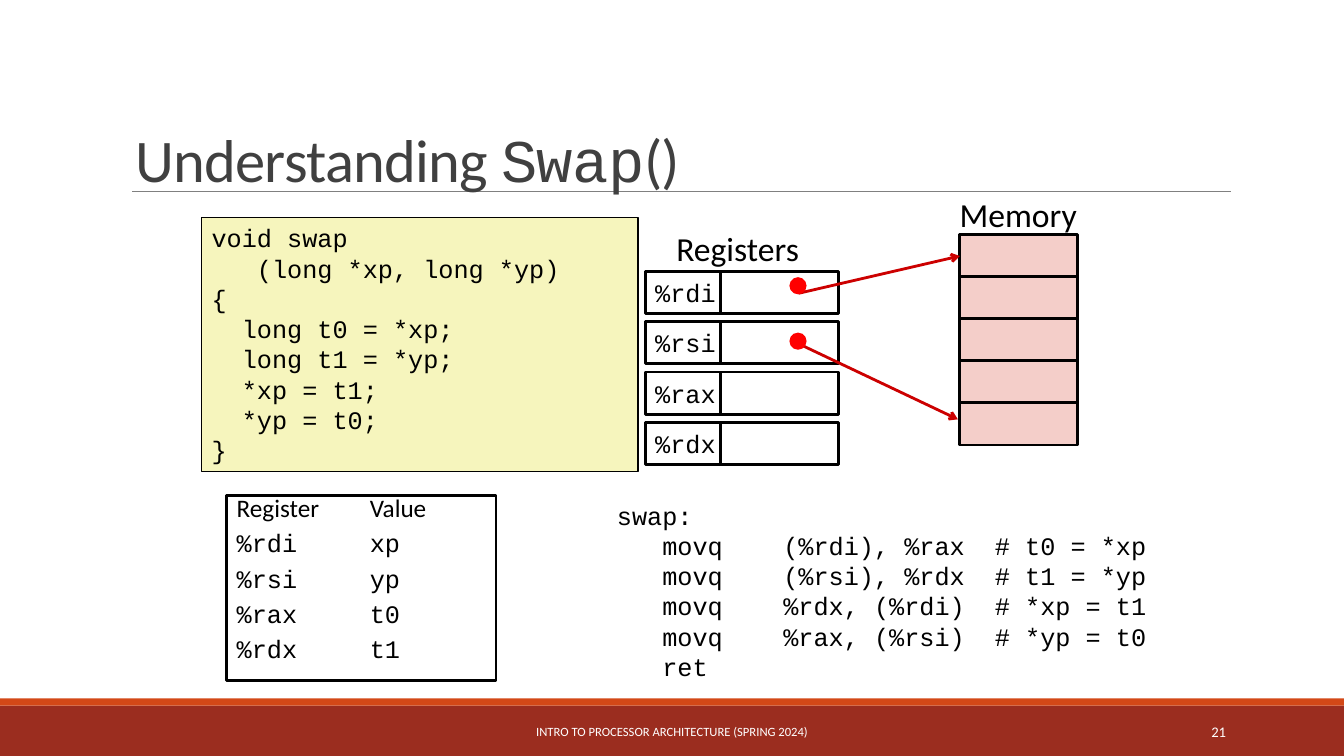
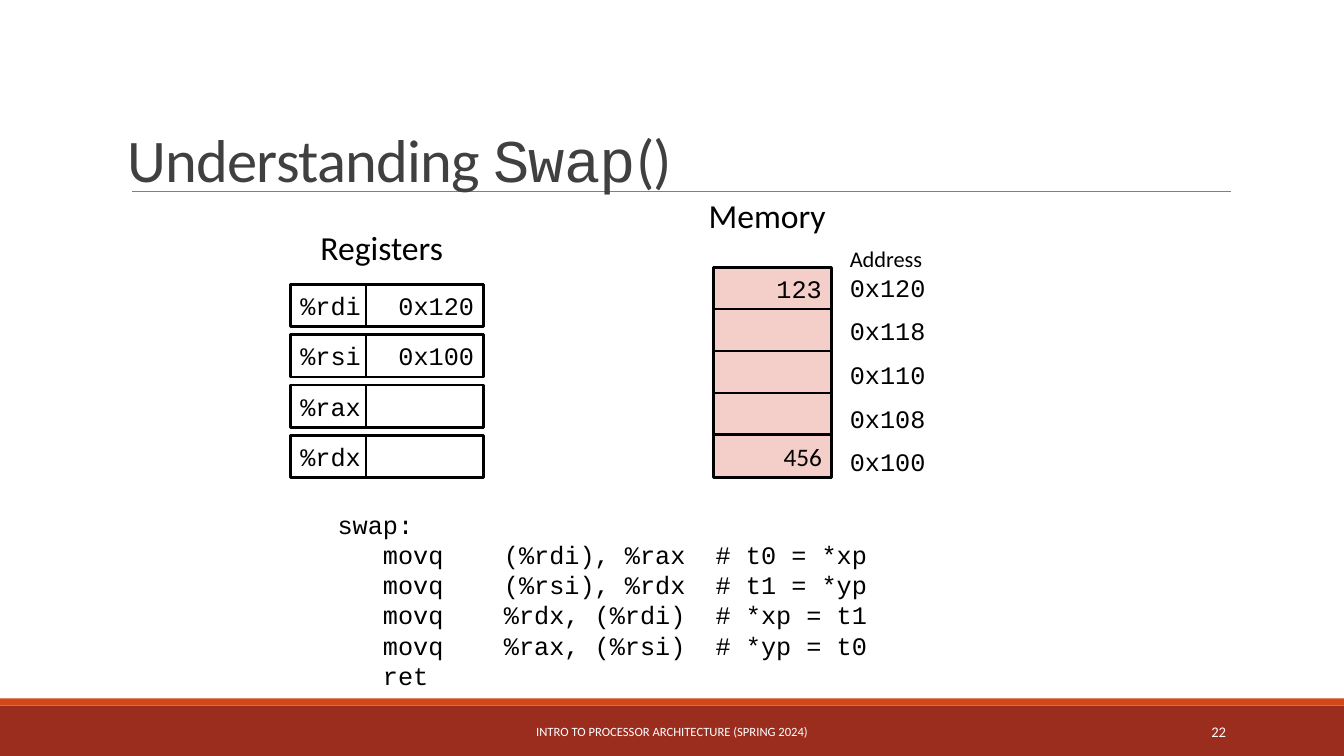
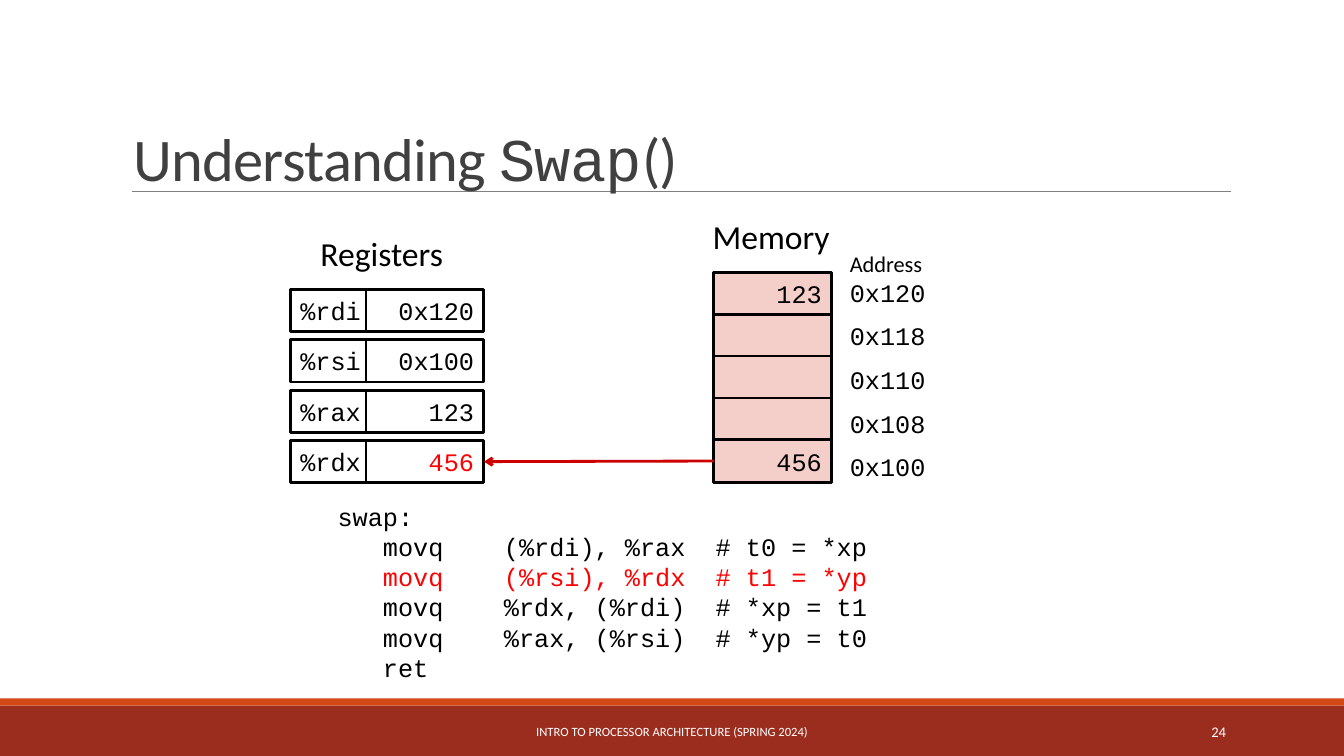
from dataclasses import dataclass

from lxml.etree import SubElement
from pptx import Presentation
from pptx.dml.color import RGBColor
from pptx.enum.shapes import MSO_CONNECTOR as Connector, MSO_SHAPE as Preset
from pptx.enum.text import MSO_ANCHOR as Anchor, MSO_AUTO_SIZE as AutoSize, PP_ALIGN as Align
from pptx.oxml.ns import qn
from pptx.util import Inches, Pt


@dataclass(frozen=True)
class Theme:
    sans: str = "Calibri"
    mono: str = "Courier New"
    black: str = "000000"
    white: str = "FFFFFF"
    title: str = "404040"
    rule: str = "808080"
    band: str = "9B2D1F"
    stripe: str = "D34817"
    code_fill: str = "F6F5BD"
    memory_fill: str = "F4CEC9"
    arrow: str = "CC0000"
    highlight: str = "FF0000"
    title_size: float = 43.2
    heading_size: float = 24
    body_size: float = 18
    address_size: float = 16
    number_size: float = 10.5
    footer_size: float = 9


THEME = Theme()
WIDTH, HEIGHT = 13.33, 7.5
FOOTER = "INTRO TO PROCESSOR ARCHITECTURE (SPRING 2024)"

REGISTERS = ("%rdi", "%rsi", "%rax", "%rdx")
ADDRESSES = ("0x120", "0x118", "0x110", "0x108", "0x100")
NAME_WIDTH, VALUE_WIDTH, CELL_HEIGHT = 0.75, 1.17, 0.42
REGISTER_PITCH = 0.5
MEMORY_PITCH = 2.08 / len(ADDRESSES)
ADDRESS_PITCH = 1.73 / (len(ADDRESSES) - 1)

C_TABS = (0.3, 0.45)
C_CODE = (
    "void swap",
    "\t\t(long *xp, long *yp)",
    "{",
    "\tlong t0 = *xp;",
    "\tlong t1 = *yp;",
    "\t*xp = t1;",
    "\t*yp = t0;",
    "}",
)
ASSEMBLY_TABS = (0.45, 1.65, 3.75)
ASSEMBLY = (
    "swap:",
    "\tmovq\t(%rdi), %rax\t# t0 = *xp",
    "\tmovq\t(%rsi), %rdx\t# t1 = *yp",
    "\tmovq\t%rdx, (%rdi)\t# *xp = t1",
    "\tmovq\t%rax, (%rsi)\t# *yp = t0",
    "\tret",
)


def rgb(color):
    return RGBColor.from_string(color)


def write_text(shape, lines, *, size=THEME.body_size, font=THEME.mono, color=THEME.black,
               align=Align.LEFT, anchor=Anchor.TOP, wrap=True, grow=False,
               line_spacing=None, space_between=None, tabs=(), tracking=None):
    """Fill a shape; a line is a string or a list of (text, {font, color}) runs."""
    frame = shape.text_frame
    frame.word_wrap = wrap
    frame.auto_size = AutoSize.SHAPE_TO_FIT_TEXT if grow else AutoSize.NONE
    frame.vertical_anchor = anchor
    for index, line in enumerate(lines):
        paragraph = frame.add_paragraph() if index else frame.paragraphs[0]
        paragraph.alignment = align
        paragraph.line_spacing = line_spacing
        if index and space_between:
            paragraph.space_before = Pt(space_between)
        for text, changes in [(line, {})] if isinstance(line, str) else line:
            run = paragraph.add_run()
            run.text = text
            run.font.size = Pt(size)
            run.font.name = changes.get("font", font)
            run.font.color.rgb = rgb(changes.get("color", color))
    if tabs:
        for element in shape.element.iter(qn("a:p")):
            stops = SubElement(element.get_or_add_pPr(), qn("a:tabLst"))
            for position in tabs:
                SubElement(stops, qn("a:tab"), pos=str(Inches(position)), algn="l")
    if tracking is not None:
        for element in shape.element.iter(qn("a:rPr")):
            element.set("spc", str(round(tracking * 100)))


def add_text(slide, at, lines, **text_format):
    box = slide.shapes.add_textbox(*map(Inches, at))
    write_text(box, lines, **text_format)
    return box


def add_box(slide, at, *, fill=None, line=None, line_width=2, preset=Preset.RECTANGLE):
    box = slide.shapes.add_shape(preset, *map(Inches, at))
    box.shadow.inherit = False
    if fill:
        box.fill.solid()
        box.fill.fore_color.rgb = rgb(fill)
    else:
        box.fill.background()
    if line:
        box.line.color.rgb = rgb(line)
        box.line.width = Pt(line_width)
    else:
        box.line.fill.background()
    return box


def add_line(slide, start, end, *, color=THEME.arrow, width=2, arrow=True):
    connector = slide.shapes.add_connector(Connector.STRAIGHT, *map(Inches, (*start, *end)))
    connector.line.color.rgb = rgb(color)
    connector.line.width = Pt(width)
    properties = connector.element.spPr
    if arrow:
        SubElement(properties.find(qn("a:ln")), qn("a:tailEnd"), type="arrow")
    SubElement(properties, qn("a:effectLst"))
    return connector


def add_cell(slide, at, text="", *, fill=THEME.white, **text_format):
    cell = add_box(slide, at, fill=fill, line=THEME.black)
    if text:
        write_text(cell, [text], anchor=Anchor.MIDDLE, wrap=False, **text_format)
    return cell


def add_heading(slide, left, top, width, text):
    add_text(slide, (left, top, width, 0.5), [text], size=THEME.heading_size,
             font=THEME.sans, wrap=False, grow=True)


def add_registers(slide, left, top, values=("",) * 4, colors=(THEME.black,) * 4):
    """Draw name and value cells; return the value cells."""
    tops = [top + row * REGISTER_PITCH for row in range(len(REGISTERS))]
    for name, y in zip(REGISTERS, tops):
        add_cell(slide, (left, y, NAME_WIDTH, CELL_HEIGHT), name)
    return [
        add_cell(slide, (left + NAME_WIDTH, y, VALUE_WIDTH, CELL_HEIGHT), value,
                 align=Align.RIGHT, color=color)
        for value, color, y in zip(values, colors, tops)
    ]


def add_memory(slide, left, top, values=("",) * 5, fonts=(THEME.mono,) * 5):
    return [
        add_cell(slide, (left, top + row * MEMORY_PITCH, VALUE_WIDTH, CELL_HEIGHT), value,
                 fill=THEME.memory_fill, align=Align.RIGHT, font=font)
        for row, (value, font) in enumerate(zip(values, fonts))
    ]


def add_addresses(slide, left, top):
    for row, address in enumerate(ADDRESSES):
        add_text(slide, (left, top + row * ADDRESS_PITCH, 1.33, 0.4), [address], grow=True)
    add_text(slide, (left, top - 0.27, 1.33, 0.37), ["Address"],
             size=THEME.address_size, font=THEME.sans, grow=True)


def add_assembly(slide, left, top, highlighted=None):
    lines = [
        [(text, {"color": THEME.highlight if row == highlighted else THEME.black})]
        for row, text in enumerate(ASSEMBLY)
    ]
    add_text(slide, (left, top, 6.42, 1.92), lines, tabs=ASSEMBLY_TABS, grow=True)


def decorate_layout(layout, slide):
    """Draw the bands and title rule on a slide, then move them to its layout."""
    for placeholder in list(layout.placeholders)[1:]:
        layout.shapes.element.remove(placeholder.element)
    parts = (
        add_box(slide, (0, 7, WIDTH, 0.5), fill=THEME.band),
        add_box(slide, (0, 6.93, WIDTH, 0.07), fill=THEME.stripe),
        add_line(slide, (1.31, 1.9), (12.21, 1.9), color=THEME.rule, width=0.5, arrow=False),
    )
    for part in parts:
        layout.shapes.element.append(part.element)


def fill_frame(slide, number, title_left, title_top):
    """Set the title, footer and slide number."""
    title = slide.shapes.title
    title.left, title.top, title.width, title.height = map(
        Inches, (title_left, title_top, 6.97, 0.63))
    write_text(title, [[("Understanding ", {}), ("Swap", {"font": THEME.mono}), ("()", {})]],
               size=THEME.title_size, font=THEME.sans, color=THEME.title,
               anchor=Anchor.BOTTOM, line_spacing=0.85, tracking=-0.5)
    footer_format = dict(font=THEME.sans, color=THEME.white, anchor=Anchor.MIDDLE)
    add_text(slide, (4.03, 7.06, 5.27, 0.4), [FOOTER],
             size=THEME.footer_size, align=Align.CENTER, **footer_format)
    add_text(slide, (10.83, 7.06, 1.43, 0.4), [str(number)],
             size=THEME.number_size, align=Align.RIGHT, **footer_format)


def build_overview(slide):
    fill_frame(slide, 21, 1.24, 1.35)
    add_registers(slide, 6.4, 2.69)
    code = add_box(slide, (2, 2.16, 4.33, 2.52), fill=THEME.code_fill,
                   line=THEME.black, line_width=1)
    write_text(code, C_CODE, tabs=C_TABS, grow=True)
    add_heading(slide, 9.42, 1.87, 1.4, "Memory")
    add_heading(slide, 6.61, 2.21, 1.48, "Registers")

    variables = add_box(slide, (2.25, 4.92, 2.67, 1.83), line=THEME.black)
    rows = [f"{name}\t{value}" for name, value in zip(REGISTERS, ("xp", "yp", "t0", "t1"))]
    write_text(variables, [[("Register\tValue", {"font": THEME.sans})], *rows],
               line_spacing=0.7, space_between=10, tabs=(1.32,))

    add_assembly(slide, 6.02, 4.91)
    memory = add_memory(slide, 9.52, 2.33)
    first_pointer = add_line(slide, (7.92, 2.91), (9.52, 2.54))
    first_pointer.end_connect(memory[0], 1)
    add_line(slide, (7.92, 3.41), (9.5, 4.16))
    for top in (2.75, 3.3):
        add_box(slide, (7.83, top, 0.17, 0.17), fill=THEME.highlight, preset=Preset.OVAL)


def build_initial_state(slide):
    fill_frame(slide, 22, 1.16, 1.35)
    add_memory(slide, 7.08, 2.65, ("123", "", "", "", "456"),
               fonts=(THEME.mono,) * 4 + (THEME.sans,))
    add_registers(slide, 2.88, 2.82, ("0x120", "0x100", "", ""))
    add_heading(slide, 3.08, 2.2, 1.48, "Registers")
    add_heading(slide, 6.93, 1.88, 1.4, "Memory")
    add_assembly(slide, 3.25, 5)
    add_addresses(slide, 8.33, 2.65)


def build_second_load(slide):
    fill_frame(slide, 24, 1.22, 1.34)
    memory = add_memory(slide, 7.08, 2.7, ("123", "", "", "", "456"))
    registers = add_registers(slide, 2.88, 2.87, ("0x120", "0x100", "123", "456"),
                              colors=(THEME.black,) * 3 + (THEME.highlight,))
    add_heading(slide, 3.08, 2.26, 1.48, "Registers")
    add_heading(slide, 6.97, 2.09, 1.4, "Memory")
    load = add_line(slide, (7.08, 4.58), (4.8, 4.58))
    load.begin_connect(memory[-1], 1)
    load.end_connect(registers[-1], 3)
    add_assembly(slide, 3.25, 4.92, highlighted=2)
    add_addresses(slide, 8.33, 2.7)


def main():
    presentation = Presentation()
    presentation.slide_width, presentation.slide_height = Inches(WIDTH), Inches(HEIGHT)
    layout = presentation.slide_layouts[5]
    builders = (build_overview, build_initial_state, build_second_load)
    slides = [presentation.slides.add_slide(layout) for _ in builders]
    decorate_layout(layout, slides[0])
    for build, slide in zip(builders, slides):
        build(slide)
    presentation.save("out.pptx")


if __name__ == "__main__":
    main()
